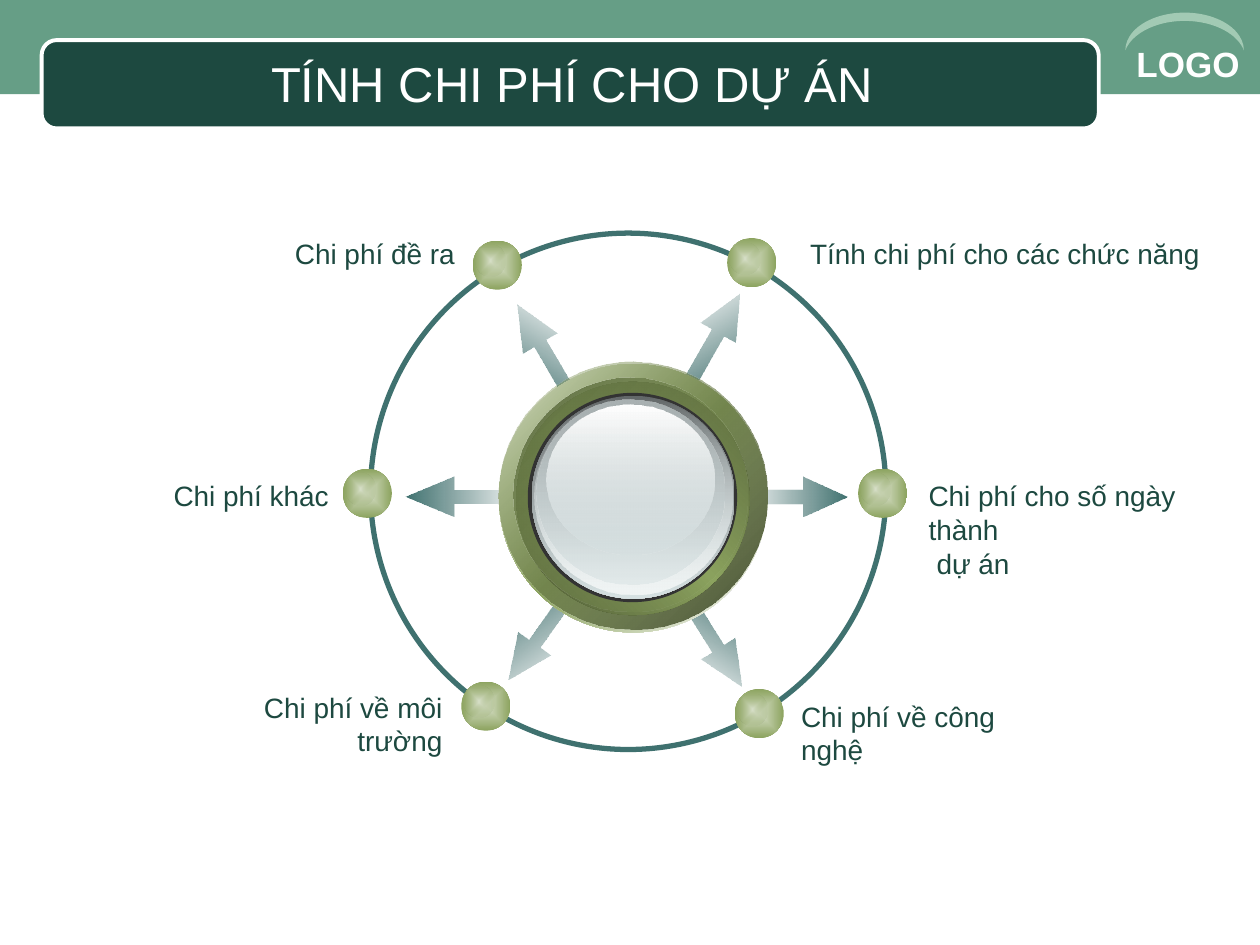
from lxml import etree
from pptx import Presentation
from pptx.dml.color import RGBColor as RGB
from pptx.enum.shapes import MSO_SHAPE as SHAPE
from pptx.enum.text import MSO_ANCHOR as ANCHOR, MSO_AUTO_SIZE as AUTO, PP_ALIGN as ALIGN
from pptx.oxml.ns import qn
from pptx.util import Cm, Pt

COLORS = {
    "band": "669E86", "dark": "1D4940", "arc": "A2CAB4", "white": "FFFFFF",
    "teal": "3F716F", "teal_dark": "386563", "green": "8CA35F", "green_pale": "D8E0C9",
    "olive": "59683C", "olive_dark": "4C5833", "olive_deep": "414B2C",
    "rim": "333333", "steel": "636869", "silver": "AAB2B3", "ice": "D6E1E2", "frost": "F1F5F5",
}
ARROW_HEIGHT = 0.81
NODE_SIZE = 0.99


def write(tf, text, size=16, color="dark", bold=False, align=ALIGN.LEFT, font="Arial", hang=0):
    for i, line in enumerate(text.split("\n")):
        p = tf.paragraphs[0] if i == 0 else tf.add_paragraph()
        p.alignment = align
        if i and hang:
            p._p.get_or_add_pPr().set("marL", str(Cm(hang)))
        r = p.add_run()
        r.text = line
        r.font.name, r.font.size, r.font.bold = font, Pt(size), bold
        r.font.color.rgb = RGB.from_string(COLORS[color])


class Deck:
    def __init__(self, prs):
        self.slide = prs.slides.add_slide(prs.slide_layouts[5])
        self.shapes = self.slide.shapes

    def title(self, text, x, y, w, h):
        s = self.shapes.title
        s.left, s.top, s.width, s.height = Cm(x), Cm(y), Cm(w), Cm(h)
        tf = s.text_frame
        tf.auto_size, tf.vertical_anchor = AUTO.NONE, ANCHOR.MIDDLE
        write(tf, text, size=28, color="white", align=ALIGN.CENTER)
        self.shapes._spTree.append(s._element)

    def shape(self, kind, x, y, w, h, fill=None, line=None, weight=1, adj=(), parent=None):
        s = (parent or self.slide).shapes.add_shape(kind, Cm(x), Cm(y), Cm(w), Cm(h))
        s.shadow.inherit = False
        for i, value in enumerate(adj):
            s.adjustments[i] = value
        if fill:
            s.fill.solid()
            s.fill.fore_color.rgb = RGB.from_string(COLORS[fill])
        else:
            s.fill.background()
        if line:
            s.line.color.rgb = RGB.from_string(COLORS[line])
            s.line.width = Pt(weight)
        else:
            s.line.fill.background()
        return s

    def gradient(self, s, stops, angle=None):
        grad = etree.Element(qn("a:gradFill"), rotWithShape="0")
        stop_list = etree.SubElement(grad, qn("a:gsLst"))
        for pos, color, alpha in stops:
            gs = etree.SubElement(stop_list, qn("a:gs"), pos=str(pos * 1000))
            clr = etree.SubElement(gs, qn("a:srgbClr"), val=COLORS[color])
            if alpha < 100:
                etree.SubElement(clr, qn("a:alpha"), val=str(alpha * 1000))
        if angle is None:
            path = etree.SubElement(grad, qn("a:path"))
            path.set("path", "rect")
            etree.SubElement(path, qn("a:fillToRect"), l="50000", t="50000", r="50000", b="50000")
        else:
            etree.SubElement(grad, qn("a:lin"), ang=str(round(angle * 60000)), scaled="1")
        sp_pr = s._element.spPr
        sp_pr.replace(sp_pr.find(qn("a:noFill")), grad)

    def arrow(self, x, y, w, rotation):
        adj = (0.35, 0.41 * w / ARROW_HEIGHT)
        s = self.shape(SHAPE.RIGHT_ARROW, x, y, w, ARROW_HEIGHT, adj=adj)
        s.rotation = rotation
        self.gradient(s, [(0, "teal_dark", 0), (100, "teal", 100)], -rotation % 360)

    def disc(self, x, y, w, h, stops, angle=None, parent=None):
        s = self.shape(SHAPE.OVAL, x, y, w, h, parent=parent)
        self.gradient(s, stops, angle)

    def node(self, x, y):
        group = self.shapes.add_group_shape()
        for dx, dy, w, h, alpha in [(0, 0, NODE_SIZE, NODE_SIZE, 100), (0.05, 0.09, 0.61, 0.64, 0)]:
            self.disc(x + dx, y + dy, w, h, [(0, "green_pale", 100), (100, "green", alpha)],
                      parent=group)

    def label(self, text, x, y, w, h=0.94, wrap=False, **style):
        tf = self.shapes.add_textbox(Cm(x), Cm(y), Cm(w), Cm(h)).text_frame
        tf.word_wrap = wrap
        write(tf, text, **style)


def main():
    prs = Presentation()
    prs.slide_width, prs.slide_height = Cm(25.4), Cm(19.05)
    deck = Deck(prs)

    deck.shape(SHAPE.RECTANGLE, 0, 0, 25.4, 1.9, "band")
    deck.shape(SHAPE.ROUNDED_RECTANGLE, 0.84, 0.81, 21.31, 1.78, "dark", "white", 2.25, (0.17,))
    deck.label("LOGO", 22.66, 0.74, 2.74, 1.12, wrap=True, size=20, color="white", bold=True)
    arc = deck.shape(SHAPE.MOON, 23.5, -0.56, 0.76, 2.39, "arc", adj=(0.22,))
    arc.rotation = 90
    deck.title("TÍNH CHI PHÍ CHO DỰ ÁN", 1.27, 0.89, 20.52, 1.57)

    arrows = [
        (13.26, 6.48, 2.21, 299.6), (13.26, 12.5, 2.21, 57.8), (9.88, 6.68, 2.21, 239.5),
        (9.78, 12.4, 2.21, 125.6), (14.88, 9.6, 2.21, 0), (8.18, 9.6, 2.39, 180),
    ]
    for arrow in arrows:
        deck.arrow(*arrow)

    deck.shape(SHAPE.OVAL, 7.47, 4.7, 10.39, 10.41, line="teal", weight=3)
    nodes = [(9.53, 4.85), (6.91, 9.45), (9.3, 13.74), (14.66, 4.8), (17.3, 9.45), (14.81, 13.89)]
    for node in nodes:
        deck.node(*node)

    bezel = [
        (10.06, 7.34, 5.41, [(0, "white", 100), (50, "green", 100), (100, "white", 100)], 45),
        (10.06, 7.29, 5.41, [(0, "green", 32), (100, "olive_deep", 100)], 45),
        (10.41, 7.7, 4.7,
         [(0, "olive_dark", 100), (50, "green", 100), (100, "olive_dark", 100)], 315),
        (10.36, 7.62, 4.7, [(0, "olive", 100), (100, "green", 0)], 45),
    ]
    for x, y, size, stops, angle in bezel:
        deck.disc(x, y, size, size, stops, angle)

    button = deck.shapes.add_group_shape()
    deck.shape(SHAPE.OVAL, 10.64, 7.92, 4.22, 4.22, "rim", parent=button)
    glass = [
        (10.72, 7.98, 4.09, 4.09, [(0, "steel", 100), (100, "ice", 100)]),
        (10.77, 8, 3.99, 3.99, [(0, "ice", 0), (100, "frost", 100)]),
        (10.82, 8.05, 3.78, 3.73, [(0, "silver", 100), (100, "ice", 48)]),
        (11.02, 8.15, 3.38, 3.02, [(0, "white", 100), (100, "ice", 38)]),
    ]
    for x, y, w, h, stops in glass:
        deck.disc(x, y, w, h, stops, 90, button)

    right_labels = [
        ("Tính chi phí cho các chức năng", 16.08, 4.65, 8.36, 0.94),
        ("Chi phí cho số ngày thành\ndự án", 18.47, 9.53, 7.04, 1.63),
        ("Chi phí về công nghệ", 15.9, 13.97, 5.82, 0.94),
    ]
    for label in right_labels:
        deck.label(*label, hang=0.16)
    left_labels = [
        ("Chi phí đề ra", 5.69, 4.65, 3.73),
        ("Chi phí khác", 3.25, 9.53, 3.63),
        ("Chi phí về môi trường", 3.2, 13.79, 5.97),
    ]
    for label in left_labels:
        deck.label(*label, align=ALIGN.RIGHT)

    prs.save("out.pptx")


if __name__ == "__main__":
    main()
